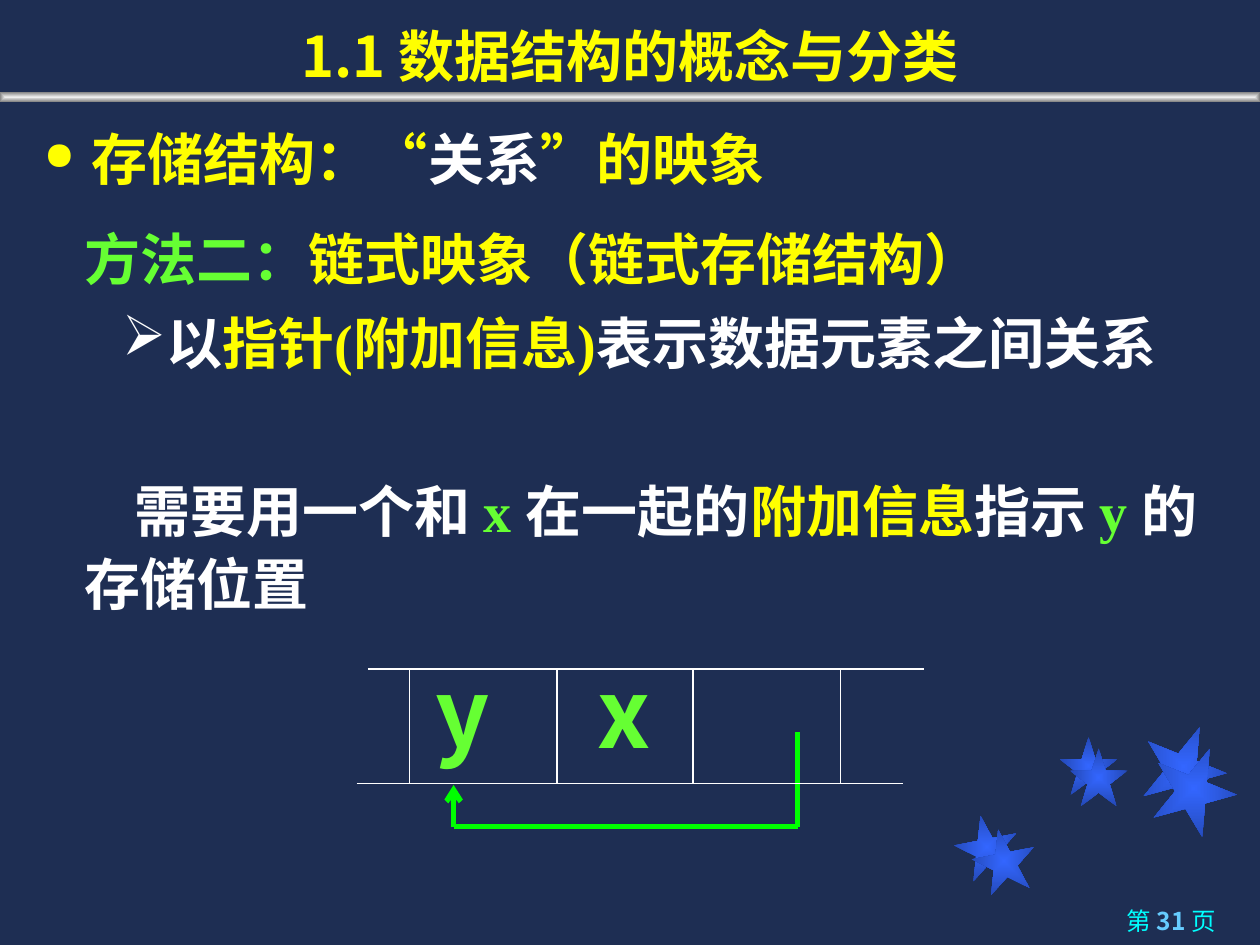
from lxml import etree
from pptx import Presentation
from pptx import util as u
from pptx.dml.color import RGBColor
from pptx.enum import shapes, text
from pptx.oxml.ns import qn

NAVY = RGBColor(0x1E, 0x2E, 0x53)
YELLOW = RGBColor(0xFF, 0xFF, 0x00)
WHITE = RGBColor(0xFF, 0xFF, 0xFF)
GREEN = RGBColor(0x66, 0xFF, 0x33)
LIME = RGBColor(0x00, 0xFF, 0x00)
CYAN = RGBColor(0x00, 0xFF, 0xFF)
SKY = RGBColor(0x66, 0xCC, 0xFF)
BLUE = RGBColor(0x33, 0x66, 0xFF)
DEEP = RGBColor(0x24, 0x49, 0xB6)
SILVER = RGBColor(0xED, 0xED, 0xED)
GREY = RGBColor(0x80, 0x80, 0x80)
SANS = "Noto Sans CJK SC"
SERIF = "Times New Roman"


def add(parent, tag, **attrs):
    return etree.SubElement(parent, qn(tag), attrs)


class Painter:
    def __init__(self, slide):
        self.slide = slide
        self.size = 32
        fill = slide.background.fill
        fill.solid()
        fill.fore_color.rgb = NAVY

    def shape(self, kind, left, top, width, height, inner, outer, turn=0):
        item = self.slide.shapes.add_shape(
            kind, u.Inches(left), u.Inches(top), u.Inches(width), u.Inches(height))
        item.shadow.inherit = False
        item.line.fill.background()
        item.rotation = turn
        item.fill.gradient()
        for stop, color in zip(item.fill.gradient_stops, (inner, outer)):
            stop.color.rgb = color
        grad = item.element.spPr.find(qn("a:gradFill"))
        grad.remove(grad.find(qn("a:lin")))
        focus = add(grad, "a:path")
        focus.set("path", "shape")
        add(focus, "a:fillToRect", l="50000", t="50000", r="50000", b="50000")

    def line(self, x1, y1, x2, y2, color=WHITE, width=0.75, arrow=False):
        item = self.slide.shapes.add_connector(
            shapes.MSO_CONNECTOR.STRAIGHT,
            u.Inches(x1), u.Inches(y1), u.Inches(x2), u.Inches(y2))
        item.line.color.rgb = color
        item.line.width = u.Pt(width)
        if arrow:
            add(item.element.spPr.find(qn("a:ln")), "a:headEnd", type="arrow")
        add(item.element.spPr, "a:effectLst")

    def box(self, left, top, width, height, anchor=text.MSO_ANCHOR.TOP):
        item = self.slide.shapes.add_textbox(
            u.Inches(left), u.Inches(top), u.Inches(width), u.Inches(height))
        frame = item.text_frame
        frame.word_wrap = True
        frame.vertical_anchor = anchor
        return frame

    def label(self, para, parts, face=SANS, size=None, bold=True, align=None):
        para.alignment = align
        for words, color in parts:
            run = para.add_run()
            run.text = words
            run.font.size = u.Pt(size or self.size)
            run.font.bold = bold
            run.font.name = face
            run.font.color.rgb = color
            add(run._r.get_or_add_rPr(), "a:ea", typeface=SANS)

    def indent(self, para, margin, first):
        props = para._p.get_or_add_pPr()
        props.set("marL", str(u.Inches(margin)))
        props.set("indent", str(u.Inches(first)))
        return props

    def bullet(self, para, mark, color, scale, margin, first):
        props = self.indent(para, margin, first)
        add(add(props, "a:buClr"), "a:srgbClr", val=str(color))
        add(props, "a:buSzPct", val=str(scale * 1000))
        add(props, "a:buChar", char=mark)


def main():
    deck = Presentation()
    deck.slide_width, deck.slide_height = u.Inches(10), u.Inches(7.5)
    art = Painter(deck.slides.add_slide(deck.slide_layouts[6]))

    star = shapes.MSO_SHAPE.STAR_5_POINT
    for left, top, side, turn in (
            (7.58, 6.47, 0.5, 349), (8.41, 5.85, 0.46, 0), (9.06, 5.75, 0.67, 22),
            (7.72, 6.58, 0.5, 349), (8.49, 5.94, 0.46, 0), (9.14, 5.92, 0.67, 22)):
        art.shape(star, left, top, side, side, BLUE, DEEP, turn)
    art.shape(shapes.MSO_SHAPE.RECTANGLE, 0, 0.73, 10, 0.08, SILVER, GREY)

    page = art.box(7.12, 7.14, 2.63, 0.36).paragraphs[0]
    art.label(page, [("第 ", CYAN), ("31 ", SKY), ("页", CYAN)],
              size=14, bold=False, align=text.PP_ALIGN.RIGHT)
    page.runs[1].font.bold = True

    topic = art.box(0.25, 0.94, 9.48, 0.84).paragraphs[0]
    art.bullet(topic, "●", YELLOW, 70, 0.38, -0.38)
    art.label(topic, [("存储结构：“", YELLOW), ("关系", WHITE), ("”的映象", YELLOW)],
              face="Arial")

    body = art.box(0.57, 1.68, 9.15, 3.3)
    method, link, need = body.paragraphs[0], body.add_paragraph(), body.add_paragraph()
    for para, gap in ((method, 0), (link, 6), (need, 54)):
        para.line_spacing = u.Pt(42)
        para.space_before = u.Pt(gap)
    art.bullet(link, "➢", WHITE, 100, 0.65, -0.35)
    art.indent(need, 0, 0.4)
    art.label(method, [("方法二：", GREEN), ("链式映象（链式存储结构）", YELLOW)], SERIF)
    art.label(link, [("以", WHITE), ("指针(附加信息)", YELLOW),
                     ("表示数据元素之间关系", WHITE)], SERIF)
    art.label(need, [("需要用一个和 ", WHITE), ("x ", GREEN), ("在一起的", WHITE),
                     ("附加信息", YELLOW), ("指示 ", WHITE), ("y ", GREEN),
                     ("的存储位置", WHITE)], SERIF)

    for name, left in (("y", 3.36), ("x", 4.64)):
        cell = art.box(left, 5.14, 0.9, 1.01).paragraphs[0]
        art.label(cell, [(name, GREEN)], size=54)

    art.line(6.33, 5.81, 6.33, 6.56, LIME, 3)
    art.line(3.6, 6.56, 6.33, 6.56, LIME, 3)
    art.line(3.6, 6.23, 3.6, 6.56, LIME, 3, arrow=True)
    art.line(2.92, 5.31, 7.33, 5.31)
    art.line(2.83, 6.22, 7.17, 6.22)
    for side in (3.25, 4.42, 5.5, 6.67):
        art.line(side, 5.31, side, 6.22)

    title = art.box(0, 0, 10, 0.75, text.MSO_ANCHOR.BOTTOM).paragraphs[0]
    art.label(title, [("1.1 数据结构的概念与分类", YELLOW)], align=text.PP_ALIGN.CENTER)

    deck.save("out.pptx")


if __name__ == "__main__":
    main()
